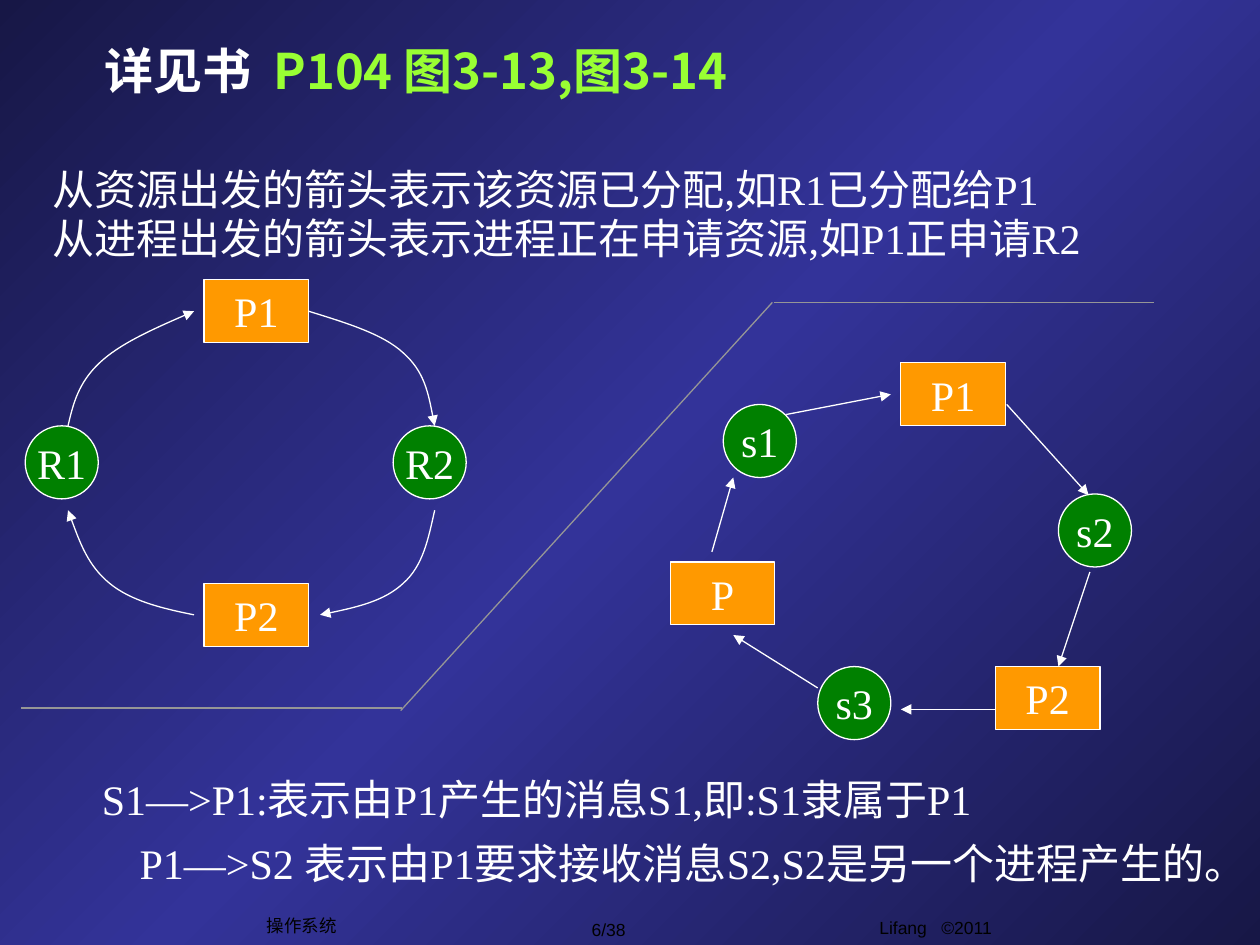
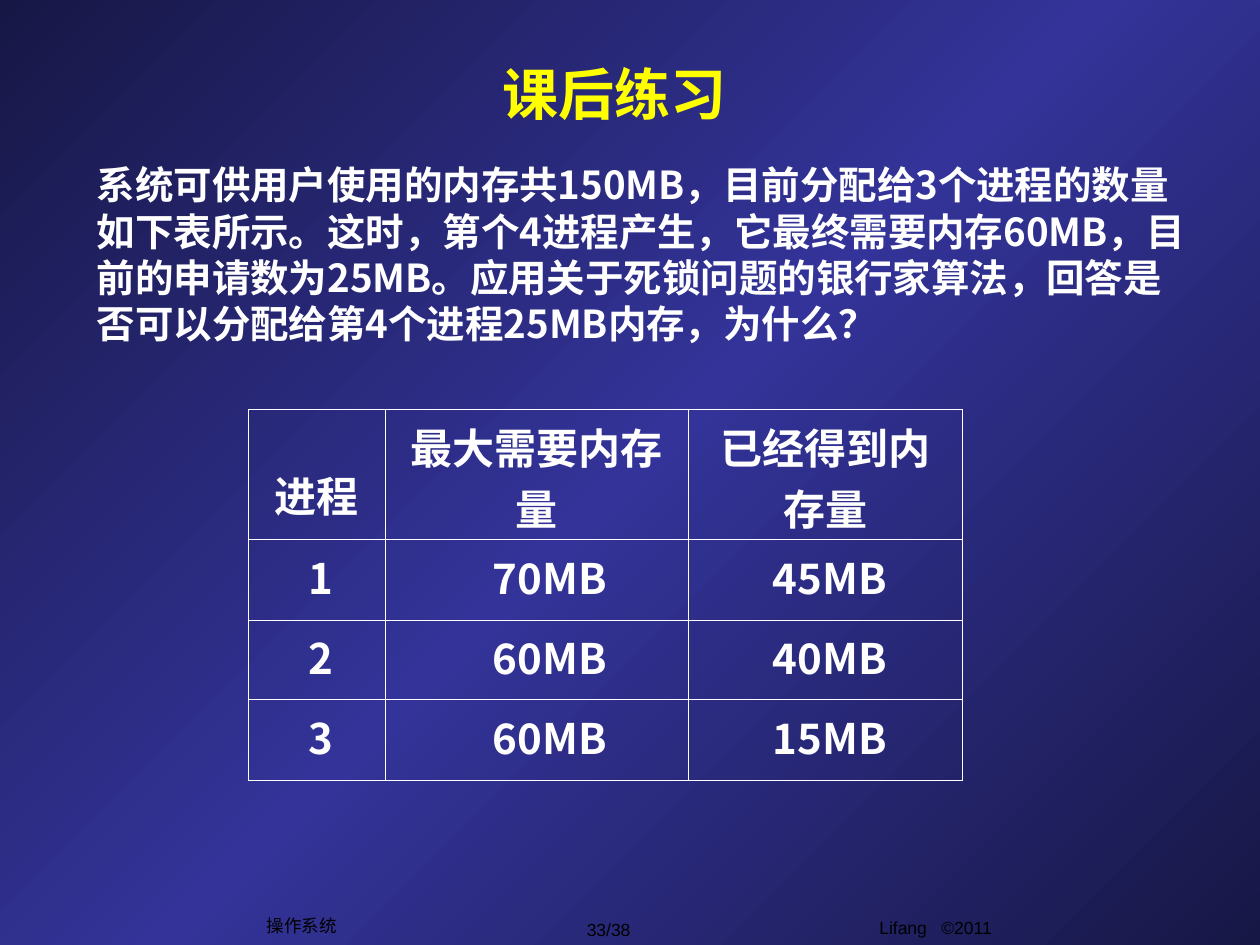
import copy

import lxml.etree
import pptx
import pptx.dml.color
import pptx.enum.shapes
import pptx.enum.text
import pptx.oxml.ns
import pptx.util

Inches = pptx.util.Inches
Pt = pptx.util.Pt
RGBColor = pptx.dml.color.RGBColor
ALIGN = pptx.enum.text.PP_ALIGN
ANCHOR = pptx.enum.text.MSO_ANCHOR
AUTO_SIZE = pptx.enum.text.MSO_AUTO_SIZE
SHAPE = pptx.enum.shapes.MSO_SHAPE
STRAIGHT = pptx.enum.shapes.MSO_CONNECTOR.STRAIGHT
qn = pptx.oxml.ns.qn

NAVY = RGBColor(0x17, 0x17, 0x46)
INDIGO = RGBColor(0x33, 0x33, 0x99)
WHITE = RGBColor(0xFF, 0xFF, 0xFF)
BLACK = RGBColor(0x00, 0x00, 0x00)
LIME = RGBColor(0x99, 0xFF, 0x33)
YELLOW = RGBColor(0xFF, 0xFF, 0x00)
ORANGE = RGBColor(0xFF, 0x99, 0x00)
GREEN = RGBColor(0x00, 0x80, 0x00)
GRAY = RGBColor(0x96, 0x96, 0x96)
SANS = "Noto Sans CJK SC"
SERIF = "Times New Roman"


def format_text(text_frame, font_name, size, color, align=ALIGN.LEFT, bold=False, tight=True):
    for paragraph in text_frame.paragraphs:
        paragraph.alignment = align
        if tight:
            paragraph.line_spacing = Pt(round(size * 1.2, 1))
        for run in paragraph.runs:
            run.font.name = font_name
            run.font.size = Pt(size)
            run.font.bold = bold
            run.font.color.rgb = color
            east_asian = lxml.etree.Element(qn("a:ea"), typeface=SANS)
            run.font._element.find(qn("a:latin")).addnext(east_asian)


def format_line(shape, color, arrow=False):
    shape.line.color.rgb = color
    shape.line.width = Pt(0.75)
    properties = shape._element.spPr
    if arrow:
        lxml.etree.SubElement(properties.find(qn("a:ln")), qn("a:tailEnd"), type="triangle")
    lxml.etree.SubElement(properties, qn("a:effectLst"))


presentation = pptx.Presentation()
presentation.slide_width = Inches(10)
presentation.slide_height = Inches(7.5)

background = presentation.slide_master.background.fill
background.gradient()
background.gradient_angle = 135
first_stop, middle_stop = background.gradient_stops
first_stop.color.rgb = NAVY
first_stop.position = 0
middle_stop.color.rgb = INDIGO
middle_stop.position = 0.5
stop_list = background._fill._gradFill.find(qn("a:gsLst"))
last_stop = copy.deepcopy(stop_list[0])
last_stop.set("pos", "100000")
stop_list.append(last_stop)

title_only = presentation.slide_layouts[5]
graph_slide = presentation.slides.add_slide(title_only)
exercise_slide = presentation.slides.add_slide(title_only)

titles = [
    (graph_slide, "详见书  P104 图3-13,图3-14", (0.73, 0.24, 5.36, 0.63), 28, WHITE, ALIGN.LEFT),
    (exercise_slide, "课后练习", (0.63, 0.42, 8.5, 0.64), 32, YELLOW, ALIGN.CENTER),
]
for slide, text, box, size, color, align in titles:
    title = slide.shapes.title
    title.left, title.top, title.width, title.height = map(Inches, box)
    frame = title.text_frame
    frame.text = text
    frame.auto_size = AUTO_SIZE.NONE
    frame.word_wrap = True
    frame.vertical_anchor = ANCHOR.MIDDLE
    if slide is graph_slide:
        paragraph = frame.paragraphs[0]
        paragraph.runs[0].text = "详见书  "
        paragraph.add_run().text = "P104 图3-13,图3-14"
    format_text(frame, SANS, size, color, align, bold=True)
graph_slide.shapes.title.text_frame.paragraphs[0].runs[1].font.color.rgb = LIME

footer_style = ("Arial", 10, BLACK, ALIGN.CENTER)
note_style = (SERIF, 24, WHITE)
text_boxes = []
for slide, page in [(graph_slide, "6/38"), (exercise_slide, "33/38")]:
    text_boxes += [
        (slide, "Lifang   ©2011", (5.84, 7.23, 3.17, 0.35), ANCHOR.TOP, True, footer_style),
        (slide, page, (4.32, 7.24, 1.02, 0.27), ANCHOR.MIDDLE, False, footer_style),
        (slide, "操作系统", (2.02, 7.21, 0.75, 0.27), ANCHOR.MIDDLE, False, footer_style),
    ]
text_boxes += [
    (graph_slide, "从资源出发的箭头表示该资源已分配,如R1已分配给P1",
     (0.32, 1.25, 8.8, 0.5), ANCHOR.TOP, True, note_style),
    (graph_slide, "从进程出发的箭头表示进程正在申请资源,如P1正申请R2",
     (0.32, 1.64, 9, 0.5), ANCHOR.TOP, True, note_style),
    (graph_slide, "S1—>P1:表示由P1产生的消息S1,即:S1隶属于P1",
     (0.71, 6.09, 8, 0.5), ANCHOR.TOP, True, note_style),
    (graph_slide, "P1—>S2 表示由P1要求接收消息S2,S2是另一个进程产生的。",
     (1.01, 6.6, 8.86, 0.5), ANCHOR.TOP, True, note_style),
    (exercise_slide,
     "系统可供用户使用的内存共150MB，目前分配给3个进程的数量如下表所示。"
     "这时，第个4进程产生，它最终需要内存60MB，目前的申请数为25MB。"
     "应用关于死锁问题的银行家算法，回答是否可以分配给第4个进程25MB内存，为什么？",
     (0.67, 1.23, 8.84, 1.57), ANCHOR.MIDDLE, True, (SANS, 22, WHITE, ALIGN.LEFT, True)),
]
for slide, text, box, anchor, wrap, style in text_boxes:
    frame = slide.shapes.add_textbox(*map(Inches, box)).text_frame
    frame.text = text
    frame.word_wrap = wrap
    frame.vertical_anchor = anchor
    format_text(frame, *style)

processes = [("P1", 1.62, 2.22), ("P2", 1.62, 4.63),
             ("P1", 7.15, 2.88), ("P", 5.32, 4.46), ("P2", 7.9, 5.29)]
resources = [("R2", 3.12, 3.38), ("R1", 0.2, 3.38),
             ("s2", 8.4, 3.92), ("s3", 6.49, 5.29), ("s1", 5.74, 3.21)]
node_kinds = [(processes, SHAPE.RECTANGLE, 0.83, 0.5, ORANGE),
              (resources, SHAPE.OVAL, 0.58, 0.58, GREEN)]
for nodes, preset, width, height, color in node_kinds:
    for label, left, top in nodes:
        node = graph_slide.shapes.add_shape(
            preset, Inches(left), Inches(top), Inches(width), Inches(height))
        node.fill.solid()
        node.fill.fore_color.rgb = color
        format_line(node, WHITE)
        node.text_frame.text = label
        node.text_frame.word_wrap = False
        node.text_frame.vertical_anchor = ANCHOR.MIDDLE
        format_text(node.text_frame, SERIF, 24, WHITE, ALIGN.CENTER, tight=False)

cycle_curves = [
    [(0.54, 3.38), (0.58, 3.21), (0.62, 3.04), (0.79, 2.88), (0.95, 2.73), (1.24, 2.6), (1.54, 2.47)],
    [(2.45, 2.47), (2.74, 2.56), (3.04, 2.65), (3.2, 2.8), (3.37, 2.95), (3.41, 3.17), (3.45, 3.38)],
    [(3.45, 4.05), (3.4, 4.27), (3.36, 4.49), (3.2, 4.63), (3.05, 4.77), (2.79, 4.83), (2.54, 4.88)],
    [(1.54, 4.88), (1.29, 4.83), (1.04, 4.77), (0.87, 4.63), (0.7, 4.49), (0.62, 4.27), (0.54, 4.05)],
]
for curve_points in cycle_curves:
    start, *others = [(Inches(x), Inches(y)) for x, y in curve_points]
    builder = graph_slide.shapes.build_freeform(*start)
    builder.add_line_segments(others, close=False)
    curve = builder.convert_to_shape()
    curve.fill.background()
    format_line(curve, WHITE, arrow=True)
    segments = list(curve._element.iter(qn("a:lnTo")))
    outline = segments[0].getparent()
    for first in range(0, len(segments), 3):
        bezier = lxml.etree.SubElement(outline, qn("a:cubicBezTo"))
        for segment in segments[first:first + 3]:
            bezier.append(segment[0])
            outline.remove(segment)

message_arrows = [
    (6.24, 3.29, 7.07, 3.13), (7.99, 3.21, 8.64, 3.93), (8.65, 4.54, 8.4, 5.29),
    (7.9, 5.63, 7.15, 5.63), (6.49, 5.46, 5.82, 5.04), (5.65, 4.38, 5.82, 3.79),
]
divider_lines = [(3.18, 5.64, 6.13, 2.4), (6.14, 2.4, 9.16, 2.4), (0.17, 5.62, 3.19, 5.62)]
for lines, color, arrow in [(message_arrows, WHITE, True), (divider_lines, GRAY, False)]:
    for ends in lines:
        connector = graph_slide.shapes.add_connector(STRAIGHT, *map(Inches, ends))
        format_line(connector, color, arrow)

memory_rows = [
    ("进程", "最大需要内存量", "已经得到内存量"),
    ("1", "70MB", "45MB"),
    ("2", "60MB", "40MB"),
    ("3", "60MB", "15MB"),
]
table = exercise_slide.shapes.add_table(
    4, 3, Inches(1.97), Inches(3.25), Inches(5.67), Inches(2.94)).table
table.first_row = False
table.horz_banding = False
for column, width in zip(table.columns, (1.09, 2.4, 2.18)):
    column.width = Inches(width)
for row, height in zip(table.rows, (1.03, 0.64, 0.63, 0.64)):
    row.height = Inches(height)
value_margins = (0.17, 0.31, 0.17)
for row_index, values in enumerate(memory_rows):
    for column_index, value in enumerate(values):
        cell = table.cell(row_index, column_index)
        cell.text = value
        cell.margin_left = Inches(value_margins[column_index] if row_index else 0.1)
        format_text(cell.text_frame, SANS, 24, WHITE, ALIGN.CENTER, bold=True, tight=False)
        cell_properties = cell._tc.get_or_add_tcPr()
        for side in ("a:lnL", "a:lnR", "a:lnT", "a:lnB"):
            border = lxml.etree.SubElement(cell_properties, qn(side), w=str(Pt(0.45)))
            border_fill = lxml.etree.SubElement(border, qn("a:solidFill"))
            lxml.etree.SubElement(border_fill, qn("a:srgbClr"), val=str(WHITE))
        cell.fill.background()
table.cell(0, 0).margin_top = Inches(0.43)

presentation.save("out.pptx")
